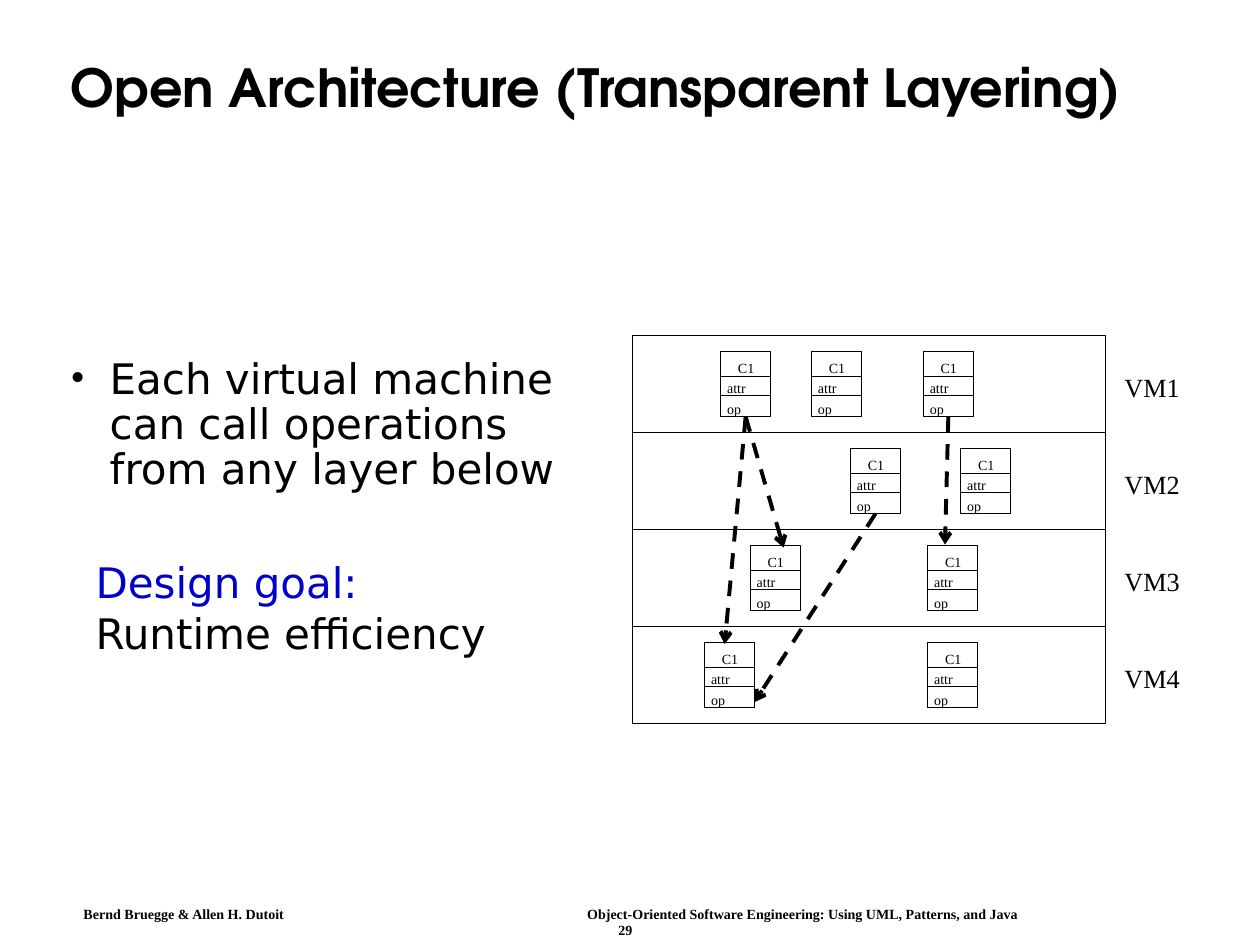
from lxml import etree
from pptx import Presentation
from pptx import util as u
from pptx.dml.color import RGBColor
from pptx.enum import dml, shapes, text
from pptx.oxml.ns import qn

BLACK, WHITE, BLUE = "000000", "FFFFFF", "0000CC"
SERIF, SANS, DISPLAY = "Times New Roman", "DejaVu Sans", "TeX Gyre Adventor"
LAYER_LEFT, LAYER_TOP, LAYER_WIDTH, LAYER_HEIGHT = 361.6, 192, 270.2, 55.4
CLASS_WIDTH, CLASS_HEIGHT, CLASS_INSET = 28.6, 37.2, 8.9
LAYERS = {
    "VM1": [411.8, 463.7, 527.6],
    "VM2": [486, 549],
    "VM3": [428.7, 530.1],
    "VM4": [402.6, 530.1],
}
CALLS = [
    (("VM1", 2), (540, 311.2)),
    (("VM1", 0), (447.8, 313)),
    (("VM1", 0), (414.1, 368)),
    (("VM2", 0), (431.2, 401.2)),
]


def color(value):
    return RGBColor.from_string(value)


def add_text(parent, content, left, top, width, height, size=8, font=SERIF,
             ink=BLACK, bold=False, align=text.PP_ALIGN.LEFT, wrap=False,
             margins=(0, 0), anchor=text.MSO_ANCHOR.TOP, spacing=None, bullet=None):
    box = parent.add_textbox(u.Pt(left), u.Pt(top), u.Pt(width), u.Pt(height))
    frame = box.text_frame
    frame.word_wrap = wrap
    frame.vertical_anchor = anchor
    frame.margin_left = frame.margin_right = u.Pt(margins[0])
    frame.margin_top = frame.margin_bottom = u.Pt(margins[1])
    lines = [(content, ink)] if isinstance(content, str) else content
    for index, (line, line_ink) in enumerate(lines):
        paragraph = frame.paragraphs[0] if index == 0 else frame.add_paragraph()
        paragraph.alignment = align
        if spacing:
            paragraph.line_spacing = spacing
        if bullet:
            properties = paragraph._p.get_or_add_pPr()
            properties.set("marL", str(u.Pt(22.5)))
            properties.set("indent", str(-u.Pt(22.5)))
            etree.SubElement(properties, qn("a:buFont"), typeface=SERIF)
            etree.SubElement(properties, qn("a:buChar"), char=bullet)
        run = paragraph.add_run()
        run.text = line
        run.font.size = u.Pt(size)
        run.font.name = font
        run.font.bold = bold
        run.font.color.rgb = color(line_ink)
    return box


def add_rectangle(parent, left, top, width, height):
    rectangle = parent.add_shape(shapes.MSO_SHAPE.RECTANGLE, u.Pt(left), u.Pt(top),
                                 u.Pt(width), u.Pt(height))
    rectangle.shadow.inherit = False
    rectangle.fill.solid()
    rectangle.fill.fore_color.rgb = color(WHITE)
    rectangle.line.color.rgb = color(BLACK)
    rectangle.line.width = u.Pt(0.62)
    return rectangle


def add_line(parent, start, end, weight=0.62):
    line = parent.add_connector(shapes.MSO_CONNECTOR.STRAIGHT,
                                *(u.Pt(value) for value in (*start, *end)))
    line.line.color.rgb = color(BLACK)
    line.line.width = u.Pt(weight)
    etree.SubElement(line._element.spPr, qn("a:effectLst"))
    return line


def add_class(slide, left, top):
    group = slide.shapes.add_group_shape().shapes
    frame = add_rectangle(group, left, top, CLASS_WIDTH, CLASS_HEIGHT)
    for offset in (14.4, 25.2):
        add_line(group, (left, top + offset), (left + CLASS_WIDTH, top + offset))
    add_text(group, "C1", left + 9.7, top + 4.6, 9.8, 9.4, align=text.PP_ALIGN.CENTER)
    add_text(group, "attr", left + 3.7, top + 16.1, 12, 9.4)
    add_text(group, "op", left + 3.7, top + 28, 10, 9.4)
    return frame


def add_call(slide, caller, end):
    start = (caller.left.pt + CLASS_WIDTH / 2, caller.top.pt + CLASS_HEIGHT)
    arrow = add_line(slide.shapes, start, end, weight=2.25)
    arrow.begin_connect(caller, 2)
    arrow.line.dash_style = dml.MSO_LINE.DASH
    etree.SubElement(arrow.line._get_or_add_ln(), qn("a:tailEnd"), type="arrow")


def add_layers(slide):
    classes = {}
    for row, (name, lefts) in enumerate(LAYERS.items()):
        top = LAYER_TOP + row * LAYER_HEIGHT
        add_rectangle(slide.shapes, LAYER_LEFT, top, LAYER_WIDTH, LAYER_HEIGHT)
        add_text(slide.shapes, name, 642.5, top + 20.1, 33, 18, size=15)
        for column, left in enumerate(lefts):
            classes[name, column] = add_class(slide, left, top + CLASS_INSET)
    for caller, end in CALLS:
        add_call(slide, classes[caller], end)


def add_footer(slide):
    for content, left, top, width in (
        ("Bernd Bruegge & Allen H. Dutoit", 47.7, 517.6, 118),
        ("Object-Oriented Software Engineering: Using UML, Patterns, and Java",
         335.5, 517.6, 250),
        ("29", 353.4, 526.8, 10),
    ):
        add_text(slide.shapes, content, left, top, width, 9.4, bold=True)


def main():
    deck = Presentation()
    deck.slide_width, deck.slide_height = u.Pt(720), u.Pt(540)
    slide = deck.slides.add_slide(deck.slide_layouts[6])
    add_footer(slide)
    add_text(slide.shapes, "Open Architecture (Transparent Layering)", 33.1, 17.6, 642.2, 67.7,
             size=30, font=DISPLAY, bold=True, wrap=True, margins=(7.2, 3.6),
             anchor=text.MSO_ANCHOR.MIDDLE, spacing=0.9)
    add_text(slide.shapes, "Each virtual machine can call operations from any layer below",
             33.1, 200.9, 320.4, 92.2, size=24, font=SANS, wrap=True,
             margins=(7.2, 3.6), spacing=0.9, bullet="•")
    add_layers(slide)
    add_text(slide.shapes, [("Design goal:", BLUE), ("Runtime efficiency", BLACK)],
             47.5, 314.7, 320.4, 77, size=24, font=SANS, wrap=True, margins=(7.2, 3.6))
    deck.save("out.pptx")


if __name__ == "__main__":
    main()
